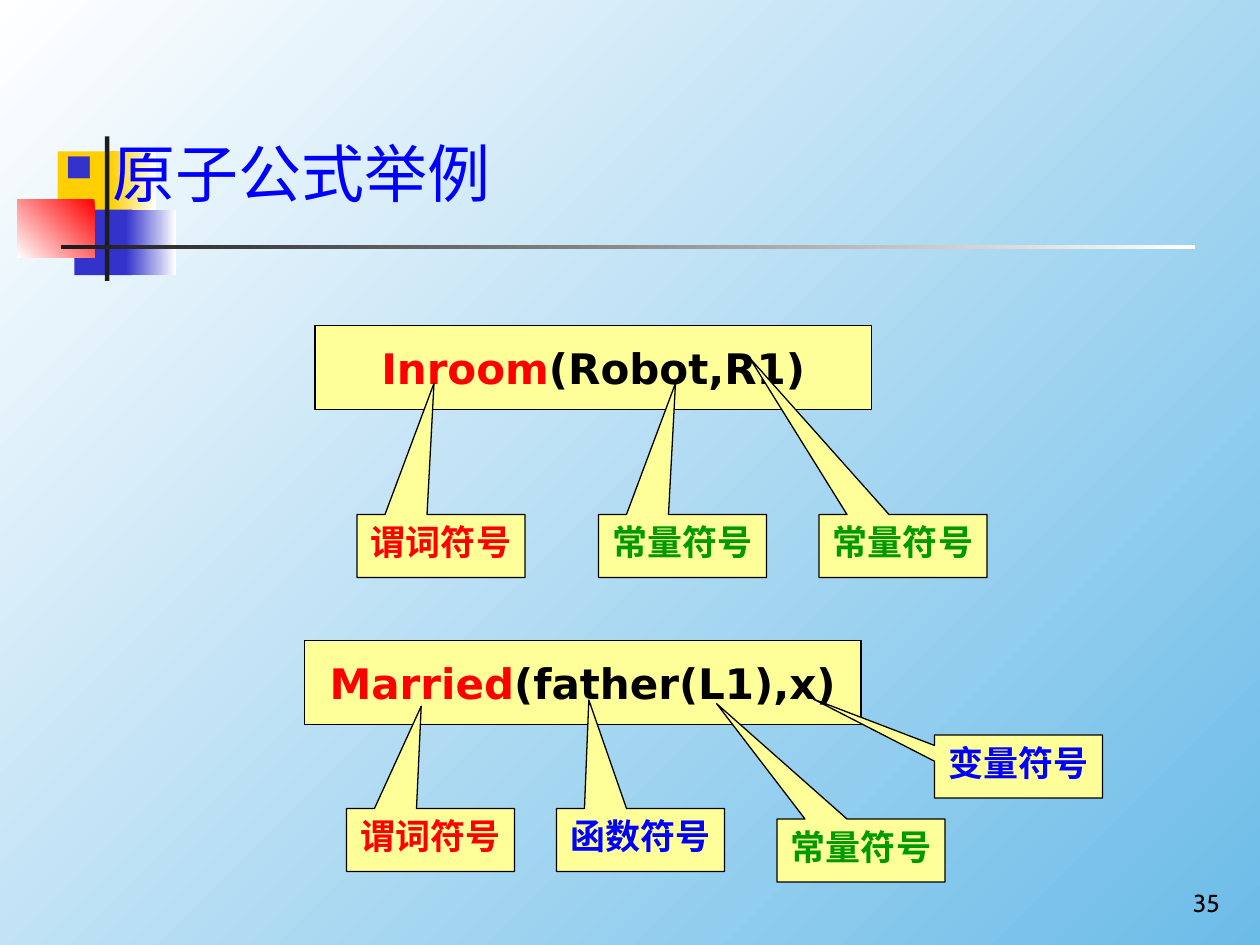
"""Build the slide on examples of atomic formulas with labelled symbols."""
from dataclasses import dataclass

from lxml import etree
from pptx import Presentation
from pptx.dml.color import RGBColor
from pptx.enum.shapes import MSO_SHAPE
from pptx.enum.text import MSO_ANCHOR, PP_ALIGN
from pptx.oxml.ns import qn
from pptx.util import Pt

RECT, CALLOUT = MSO_SHAPE.RECTANGLE, MSO_SHAPE.RECTANGULAR_CALLOUT
TOP, MIDDLE, BOTTOM = MSO_ANCHOR.TOP, MSO_ANCHOR.MIDDLE, MSO_ANCHOR.BOTTOM
LEFT, CENTER, RIGHT = PP_ALIGN.LEFT, PP_ALIGN.CENTER, PP_ALIGN.RIGHT


@dataclass(frozen=True)
class Theme:
    sky: str = "6CBCE8"
    white: str = "FFFFFF"
    gold: str = "FFCF01"
    indigo: str = "3333CC"
    red: str = "FF0000"
    blue: str = "0000FF"
    green: str = "009900"
    charcoal: str = "1C1C1C"
    black: str = "000000"
    note: str = "FFFF99"
    body_font: str = "Cabin"
    formula_font: str = "DejaVu Sans"
    title_size: float = 36
    formula_size: float = 24
    label_size: float = 20
    number_size: float = 14
    outline: float = 0.75


T = Theme()


@dataclass(frozen=True)
class Box:
    x: float
    y: float
    w: float
    h: float


@dataclass(frozen=True)
class Ornament:
    box: Box
    color: str
    fade_angle: float | None = None


@dataclass(frozen=True)
class Formula:
    x: float
    y: float
    predicate: str
    arguments: str


@dataclass(frozen=True)
class Label:
    x: float
    y: float
    tip_x: float
    tip_y: float
    text: str
    color: str


FORMULA_W, FORMULA_H = 318, 48
LABEL_W, LABEL_H = 96, 36

ORNAMENTS = [
    Ornament(Box(33, 86.5, 34.5, 37.5), T.gold),
    Ornament(Box(63, 86.5, 26, 37.5), T.gold, 0),
    Ornament(Box(42.5, 119.75, 33, 37.5), T.indigo),
    Ornament(Box(72, 119.75, 28.5, 37.5), T.indigo, 0),
    Ornament(Box(9.75, 113.75, 44.25, 33.5), T.red, 225),
    Ornament(Box(60, 78, 2.5, 82.5), T.charcoal),
    Ornament(Box(34.75, 140, 648, 2.5), T.charcoal, 0),
]
FORMULAS = [
    Formula(180, 186, "Inroom", "(Robot,R1)"),
    Formula(174, 366, "Married", "(father(L1),x)"),
]
LABELS = [
    Label(204, 294, 248, 219, "谓词符号", T.red),
    Label(342, 294, 386, 219, "常量符号", T.green),
    Label(468, 294, 428.4, 204.6, "常量符号", T.green),
    Label(198, 462, 240.7, 403.6, "谓词符号", T.red),
    Label(318, 462, 336.5, 400, "函数符号", T.blue),
    Label(444, 468, 409.5, 402.1, "常量符号", T.green),
    Label(534, 420, 464.6, 399.4, "变量符号", T.blue),
]


def rgb(color: str) -> RGBColor:
    return RGBColor.from_string(color)


def fade(fill, start: str, end: str, angle: float) -> None:
    fill.gradient()
    fill.gradient_angle = angle
    for stop, color in zip(fill.gradient_stops, (start, end)):
        stop.color.rgb = rgb(color)


def add_run(p, text: str, font: str, size: float, color: str, bold: bool = False) -> None:
    r = p.add_run()
    r.text = text
    r.font.name, r.font.size, r.font.bold = font, Pt(size), bold
    r.font.color.rgb = rgb(color)


def add_box(s, kind, box: Box):
    sp = s.shapes.add_shape(kind, Pt(box.x), Pt(box.y), Pt(box.w), Pt(box.h))
    sp.shadow.inherit = False
    return sp


def add_note(s, kind, box: Box, anchor, wrap: bool):
    sp = add_box(s, kind, box)
    sp.fill.solid()
    sp.fill.fore_color.rgb = rgb(T.note)
    sp.line.color.rgb = rgb(T.black)
    sp.line.width = Pt(T.outline)
    tf = sp.text_frame
    tf.vertical_anchor, tf.word_wrap = anchor, wrap
    tf.paragraphs[0].alignment = CENTER
    return sp


def add_text(s, box: Box, anchor, align):
    tf = s.shapes.add_textbox(Pt(box.x), Pt(box.y), Pt(box.w), Pt(box.h)).text_frame
    tf.word_wrap, tf.vertical_anchor = True, anchor
    p = tf.paragraphs[0]
    p.alignment = align
    return p


def add_bullet(p, indent: float) -> None:
    pPr = p._p.get_or_add_pPr()
    pPr.set("marL", str(Pt(indent)))
    pPr.set("indent", str(Pt(-indent)))
    color = etree.SubElement(pPr, qn("a:buClr"))
    etree.SubElement(color, qn("a:srgbClr"), val=T.indigo)
    etree.SubElement(pPr, qn("a:buSzPct"), val="60000")
    etree.SubElement(pPr, qn("a:buChar"), char="■")


def add_ornament(s, ornament: Ornament) -> None:
    sp = add_box(s, RECT, ornament.box)
    sp.line.fill.background()
    if ornament.fade_angle is None:
        sp.fill.solid()
        sp.fill.fore_color.rgb = rgb(ornament.color)
    else:
        fade(sp.fill, ornament.color, T.white, ornament.fade_angle)


def add_formula(s, formula: Formula) -> None:
    sp = add_note(s, RECT, Box(formula.x, formula.y, FORMULA_W, FORMULA_H), MIDDLE, False)
    p = sp.text_frame.paragraphs[0]
    add_run(p, formula.predicate, T.formula_font, T.formula_size, T.red, True)
    add_run(p, formula.arguments, T.formula_font, T.formula_size, T.black, True)


def add_label(s, label: Label) -> None:
    sp = add_note(s, CALLOUT, Box(label.x, label.y, LABEL_W, LABEL_H), TOP, True)
    sp.adjustments[0] = (label.tip_x - label.x) / LABEL_W - 0.5
    sp.adjustments[1] = (label.tip_y - label.y) / LABEL_H - 0.5
    p = sp.text_frame.paragraphs[0]
    add_run(p, label.text, T.formula_font, T.label_size, label.color, True)


def main() -> None:
    prs = Presentation()
    prs.slide_width, prs.slide_height = Pt(720), Pt(540)
    s = prs.slides.add_slide(prs.slide_layouts[6])
    fade(s.background.fill, T.white, T.sky, 315)
    for ornament in ORNAMENTS:
        add_ornament(s, ornament)
    p = add_text(s, Box(30, 78, 630, 402), TOP, LEFT)
    p.line_spacing = 0.9
    add_bullet(p, 27)
    add_run(p, "原子公式举例", T.body_font, T.title_size, T.blue)
    for formula in FORMULAS:
        add_formula(s, formula)
    for label in LABELS:
        add_label(s, label)
    p = add_text(s, Box(554, 492, 150, 36), BOTTOM, RIGHT)
    add_run(p, "35", T.body_font, T.number_size, T.black)
    prs.save("out.pptx")


if __name__ == "__main__":
    main()
